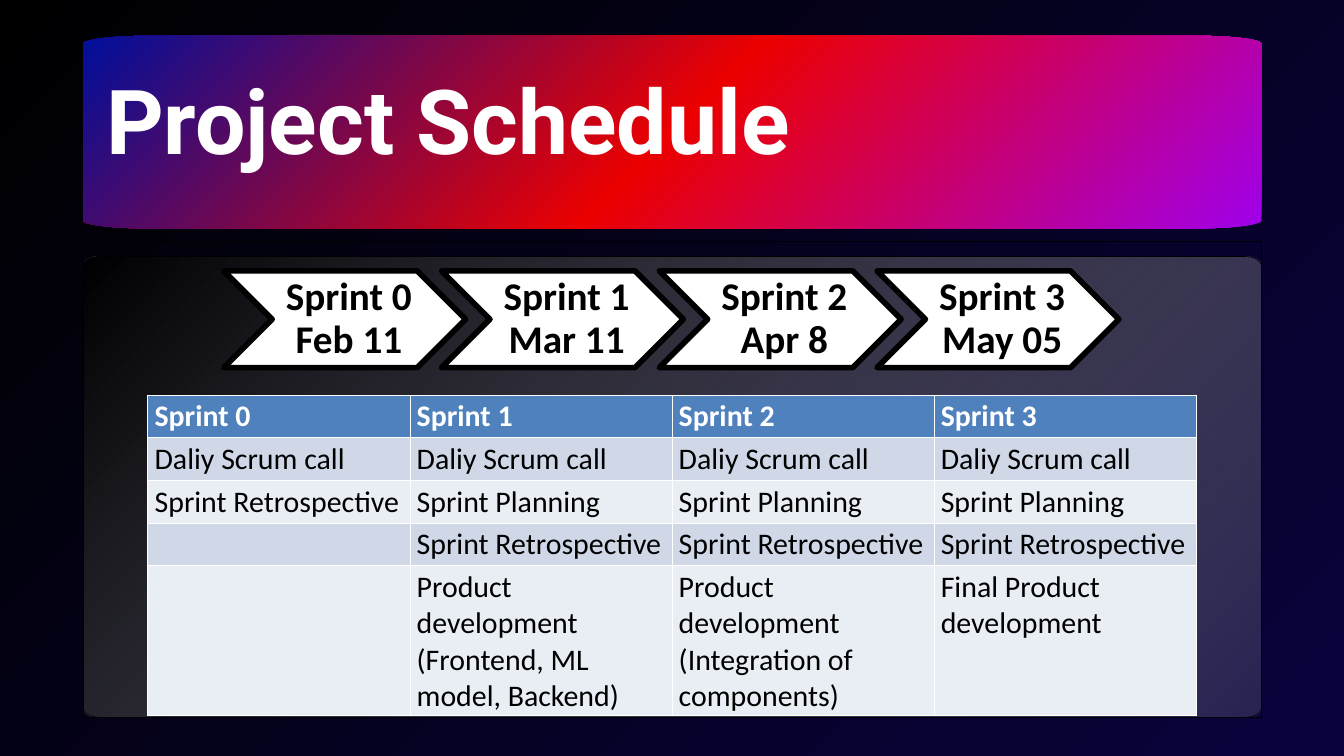
import math

from lxml import etree
from pptx import Presentation
from pptx.dml.color import RGBColor
from pptx.enum import shapes, text
from pptx.oxml.ns import qn
from pptx.util import Cm, Pt

WHITE = RGBColor(0xFF, 0xFF, 0xFF)
BLACK = RGBColor(0, 0, 0)
NIGHT = RGBColor(0x09, 0x03, 0x3D)
SILVER = RGBColor(0xDD, 0xDD, 0xDD)
BLUE = RGBColor(0, 0x0F, 0x9B)
RED = RGBColor(0xEB, 0, 0)
VIOLET = RGBColor(0xA0, 0, 0xEB)
HEADER = RGBColor(0x4F, 0x81, 0xBD)
BAND_DARK = RGBColor(0xD0, 0xD8, 0xE8)
BAND_LIGHT = RGBColor(0xE9, 0xED, 0xF4)


def set_gradient(fill, owner, stops, angle=None):
    """Stops are (position, colour, opacity); without an angle the fill is circular."""
    fill.gradient()
    gradient = next(owner.iter(qn("a:gradFill")))
    for child in list(gradient):
        gradient.remove(child)
    stop_list = etree.SubElement(gradient, qn("a:gsLst"))
    for position, color, opacity in stops:
        stop = etree.SubElement(stop_list, qn("a:gs"), pos=str(position * 1000))
        rgb = etree.SubElement(stop, qn("a:srgbClr"), val=str(color))
        if opacity < 100:
            etree.SubElement(rgb, qn("a:alpha"), val=str(opacity * 1000))
    if angle is None:
        circle = etree.SubElement(gradient, qn("a:path"), path="circle")
        etree.SubElement(circle, qn("a:fillToRect"), r="100000", b="100000")
    else:
        etree.SubElement(gradient, qn("a:lin"), ang=str(angle * 60000), scaled="0")


def add_rounded_panel(left, top, width, height, radius_x, radius_y):
    """Outline a box whose corners are quarter ellipses."""
    points = []
    for corner in range(4):
        center_x = left + radius_x if corner in (1, 2) else left + width - radius_x
        center_y = top + radius_y if corner in (2, 3) else top + height - radius_y
        for step in range(13):
            angle = math.pi / 2 * (corner + step / 12)
            points.append((Cm(center_x + radius_x * math.cos(angle)),
                           Cm(center_y + radius_y * math.sin(angle))))
    builder = slide.shapes.build_freeform(*points[0])
    builder.add_line_segments(points[1:], close=True)
    panel = builder.convert_to_shape()
    panel.shadow.inherit = False
    return panel


presentation = Presentation()
presentation.slide_width = Cm(50.8)
presentation.slide_height = Cm(28.58)
slide = presentation.slides.add_slide(presentation.slide_layouts[5])

# Background
set_gradient(slide.background.fill, slide.element, [(0, BLACK, 100), (100, NIGHT, 100)])

# Content panel and its frame
panel = add_rounded_panel(3.15, 9.7, 44.53, 17.42, 0.61, 0.36)
set_gradient(panel.fill, panel.element, [(0, BLACK, 78), (100, SILVER, 15)], angle=45)
frame = slide.shapes.add_shape(shapes.MSO_SHAPE.RECTANGLE,
                               Cm(3.15), Cm(9.12), Cm(44.53), Cm(18.01))
frame.shadow.inherit = False
frame.fill.background()
for shape in (panel, frame):
    shape.line.color.rgb = BLACK
    shape.line.width = Pt(0.75)

# Title banner
banner = add_rounded_panel(3.15, 1.35, 44.53, 7.29, 2.64, 0.3)
set_gradient(banner.fill, banner.element,
             [(0, BLUE, 100), (50, RED, 100), (100, VIOLET, 100)])
banner.line.fill.background()

# Title, brought in front of the banner
title = slide.shapes.title
slide.shapes.element.append(title.element)
title.left, title.top, title.width, title.height = Cm(4.01), Cm(4.11), Cm(29.41), Cm(2.74)
frame_text = title.text_frame
frame_text.margin_left = frame_text.margin_right = 0
frame_text.margin_top = frame_text.margin_bottom = 0
frame_text.vertical_anchor = text.MSO_ANCHOR.TOP
frame_text.auto_size = text.MSO_AUTO_SIZE.SHAPE_TO_FIT_TEXT
paragraph = frame_text.paragraphs[0]
paragraph.alignment = text.PP_ALIGN.JUSTIFY
paragraph.line_spacing = Pt(68.7)
run = paragraph.add_run()
run.text = "Project Schedule"
run.font.name = "Roboto"
run.font.size = Pt(96)
run.font.bold = True
run.font.color.rgb = WHITE

# Sprint timeline
sprints = ["Sprint 0", "Sprint 1", "Sprint 2", "Sprint 3"]
dates = ["Feb 11", "Mar 11", "Apr 8", "May 05"]
for index, (sprint, date) in enumerate(zip(sprints, dates)):
    left = 8.46 + 8.23 * index
    chevron = slide.shapes.add_shape(shapes.MSO_SHAPE.CHEVRON,
                                     Cm(left), Cm(10.24), Cm(9.14), Cm(3.66))
    chevron.shadow.inherit = False
    chevron.fill.solid()
    chevron.fill.fore_color.rgb = WHITE
    chevron.line.color.rgb = BLACK
    chevron.line.width = Pt(6)

    label = slide.shapes.add_textbox(Cm(left + 1.83), Cm(10.24), Cm(5.49), Cm(3.66))
    label_text = label.text_frame
    label_text.word_wrap = True
    label_text.vertical_anchor = text.MSO_ANCHOR.MIDDLE
    label_text.margin_left = Cm(0.46)
    label_text.margin_right = label_text.margin_top = label_text.margin_bottom = Cm(0.15)
    paragraph = label_text.paragraphs[0]
    paragraph.alignment = text.PP_ALIGN.CENTER
    paragraph.line_spacing = 0.9
    run = paragraph.add_run()
    run.text = f"{sprint} {date}"
    run.font.name = "Calibri"
    run.font.size = Pt(42)
    run.font.bold = True
    run.font.color.rgb = BLACK

# Sprint activities; the table style draws the white borders
rows = [
    sprints,
    ["Daliy Scrum call"] * 4,
    ["Sprint Retrospective"] + ["Sprint Planning"] * 3,
    [""] + ["Sprint Retrospective"] * 3,
    ["", "Product development (Frontend, ML model, Backend)",
     "Product development (Integration of components)", "Final Product development"],
]
row_heights = [1.6, 1.6, 1.6, 1.6, 5.65]
table = slide.shapes.add_table(len(rows), len(sprints), Cm(5.59), Cm(14.94),
                               Cm(39.62), Cm(sum(row_heights))).table
for row_index, (row, height) in enumerate(zip(rows, row_heights)):
    table.rows[row_index].height = Cm(height)
    is_header = row_index == 0
    band = HEADER if is_header else BAND_DARK if row_index % 2 else BAND_LIGHT
    for column_index, entry in enumerate(row):
        cell = table.cell(row_index, column_index)
        cell.fill.solid()
        cell.fill.fore_color.rgb = band
        paragraph = cell.text_frame.paragraphs[0]
        paragraph.font.size = Pt(32)
        if entry:
            run = paragraph.add_run()
            run.text = entry
            run.font.name = "Calibri"
            run.font.size = Pt(32)
            run.font.bold = is_header
            run.font.color.rgb = WHITE if is_header else BLACK

presentation.save("out.pptx")
